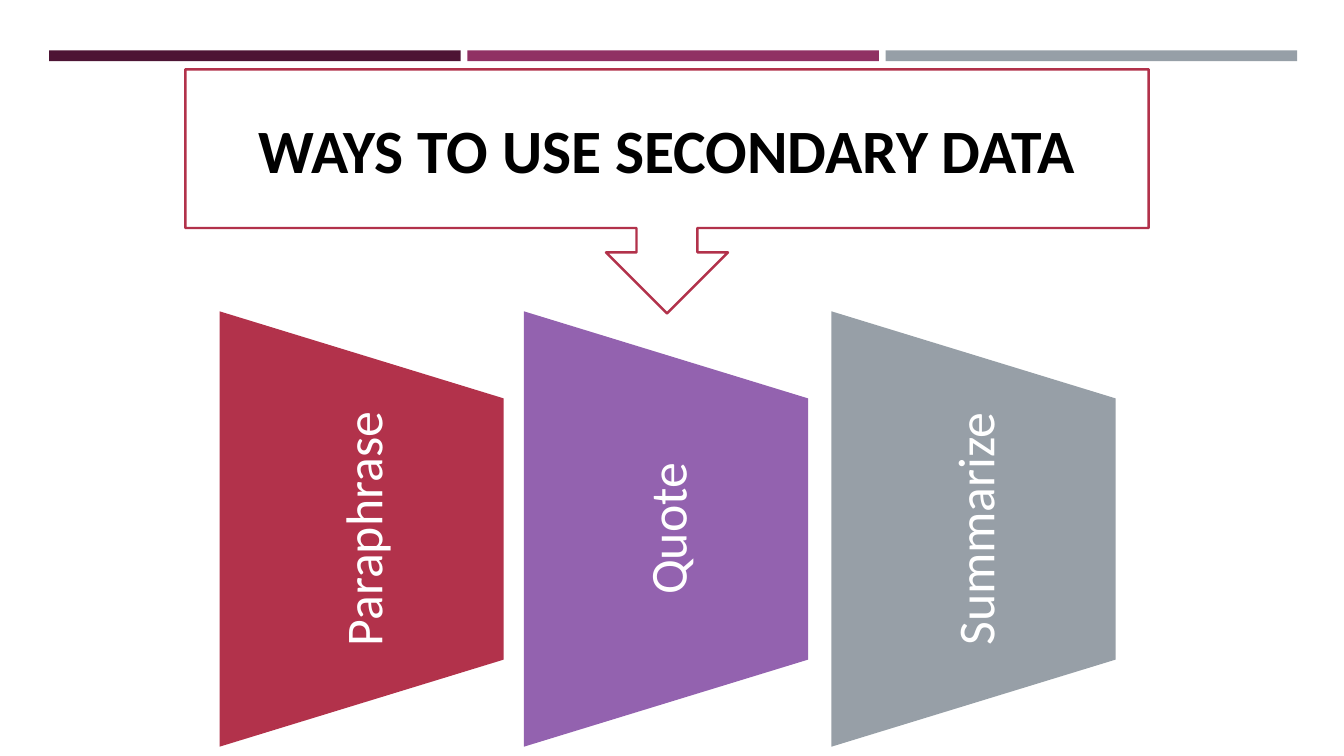
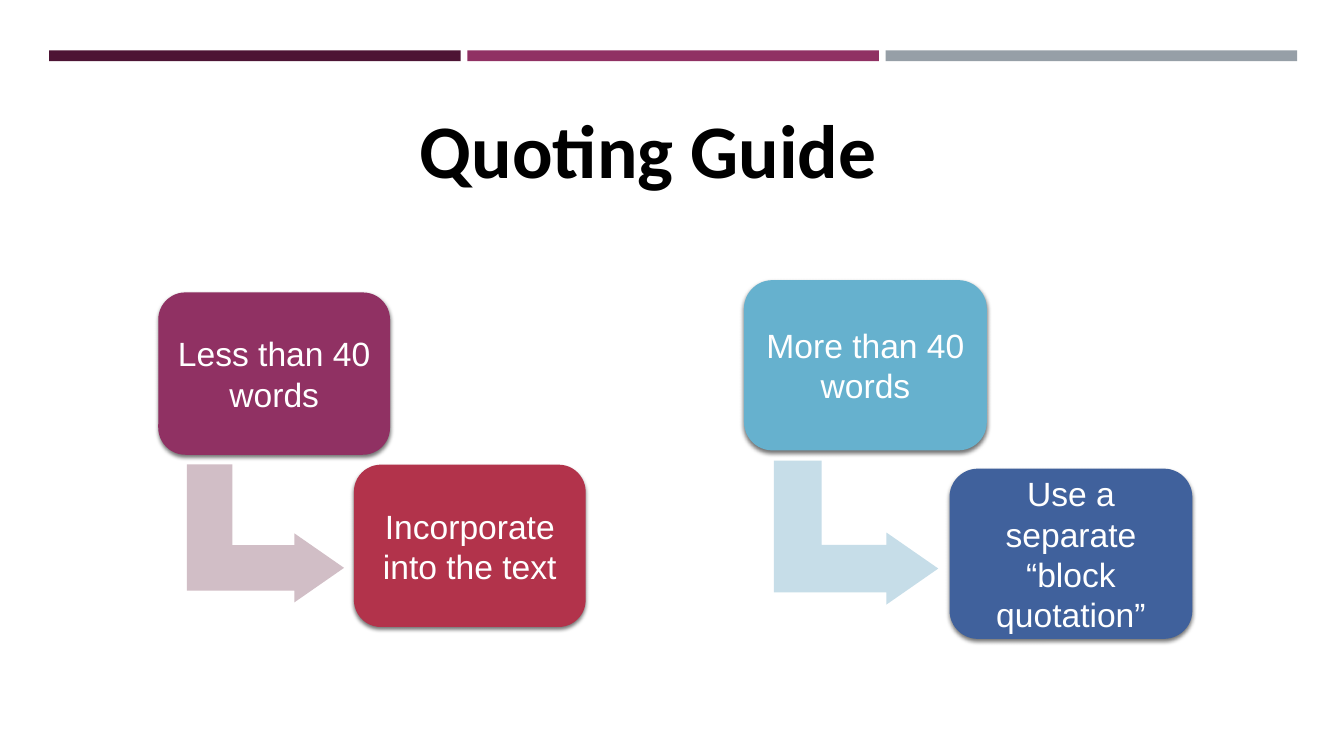
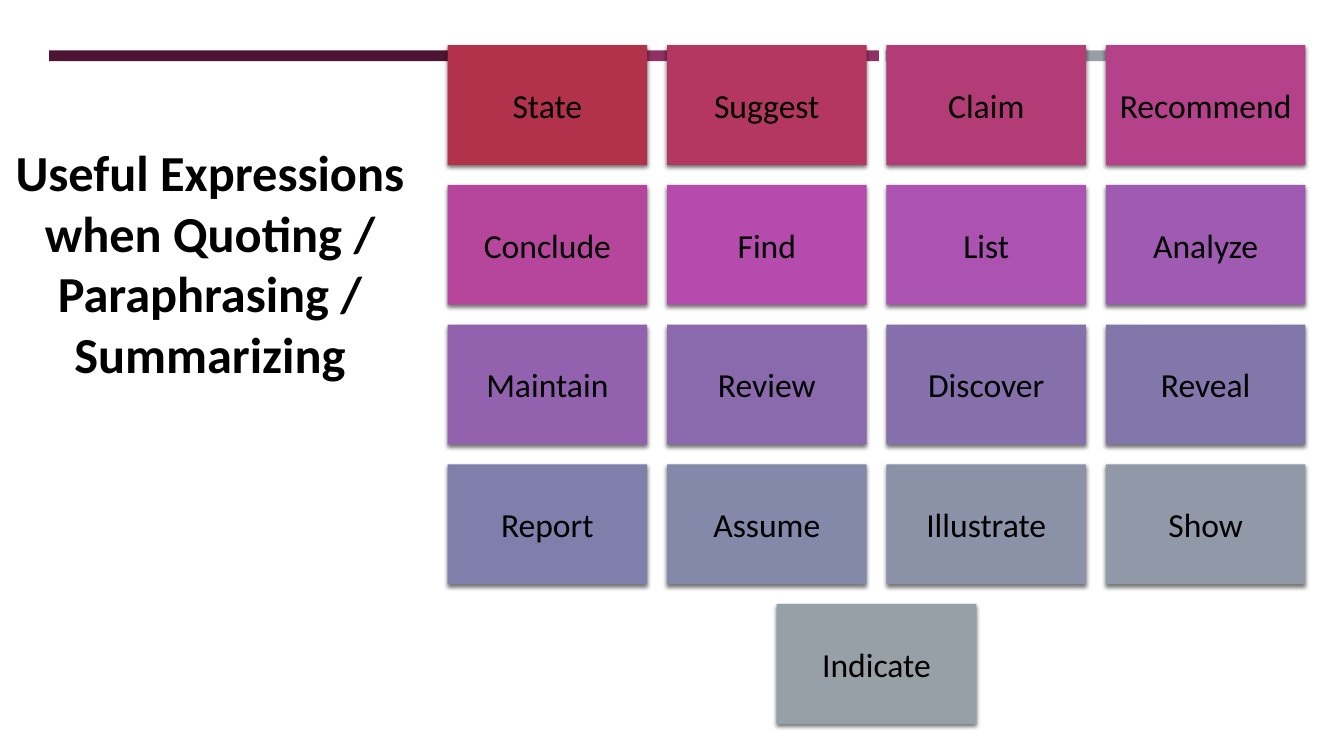
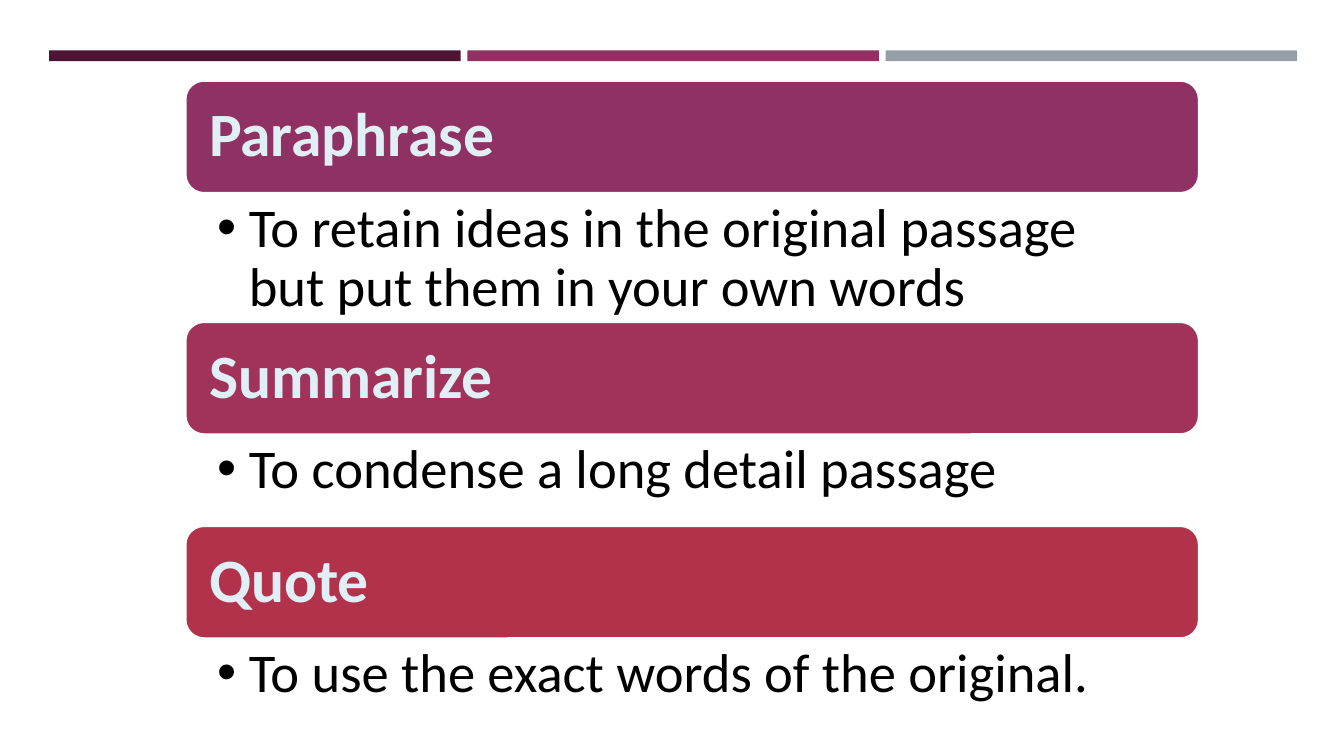
from lxml import etree
from pptx import Presentation
from pptx import util as u
from pptx.dml.color import RGBColor
from pptx.enum import shapes, text
from pptx.oxml import ns

Cm, Pt = u.Cm, u.Pt
SHAPE = shapes.MSO_SHAPE
CENTER, LEFT = text.PP_ALIGN.CENTER, text.PP_ALIGN.LEFT
MIDDLE, TOP = text.MSO_ANCHOR.MIDDLE, text.MSO_ANCHOR.TOP
BLACK, WHITE = "000000", "FFFFFF"
PLUM, MAGENTA, RED, GREY = "4D1434", "903163", "B2324B", "979FA7"
PURPLE, PALE_BLUE = "9362AF", "E0EFF5"


def add_box(slide, kind, place, fill, line=None, shadow=False):
    """Add a filled preset shape; place is left, top, width, height in cm."""
    shape = slide.shapes.add_shape(kind, *[Cm(length) for length in place])
    shape.shadow.inherit = False
    shape.fill.solid()
    shape.fill.fore_color.rgb = RGBColor.from_string(fill)
    if line:
        shape.line.color.rgb = RGBColor.from_string(line)
        shape.line.width = Pt(1.75)
    else:
        shape.line.fill.background()
    if shadow:
        effects = shape._element.spPr.find(ns.qn("a:effectLst"))
        outer = etree.SubElement(effects, ns.qn("a:outerShdw"), blurRad=str(Pt(3)),
                                 dist=str(Pt(2)), dir="5400000", rotWithShape="0")
        tint = etree.SubElement(outer, ns.qn("a:srgbClr"), val=BLACK)
        etree.SubElement(tint, ns.qn("a:alpha"), val="55000")
    return shape


def write(shape, words, size, color, bold=False, font="Calibri", align=CENTER,
          anchor=MIDDLE, margins=(0.25, 0.25, 0.25, 0.25), spacing=None, bullet=False):
    """Fill a shape with one paragraph; margins are left, top, right, bottom in cm."""
    frame = shape.text_frame
    frame.word_wrap = True
    frame.vertical_anchor = anchor
    (frame.margin_left, frame.margin_top,
     frame.margin_right, frame.margin_bottom) = [Cm(margin) for margin in margins]
    paragraph = frame.paragraphs[0]
    paragraph.text = words
    paragraph.alignment = align
    if spacing:
        paragraph.line_spacing = spacing
    if bullet:
        properties = paragraph._p.get_or_add_pPr()
        properties.set("marL", str(Cm(0.79)))
        properties.set("indent", str(Cm(-0.79)))
        etree.SubElement(properties, ns.qn("a:buFont"), typeface="Arial")
        etree.SubElement(properties, ns.qn("a:buChar"), char="•")
    paragraph.font.name = font
    paragraph.font.size = Pt(size)
    paragraph.font.bold = bold
    paragraph.font.color.rgb = RGBColor.from_string(color)


# Presentation: four blank slides, each with three bands at the top
presentation = Presentation()
presentation.slide_width, presentation.slide_height = Cm(33.87), Cm(19.05)
slides = []
for number in range(4):
    slide = presentation.slides.add_slide(presentation.slide_layouts[6])
    for column, color in enumerate((PLUM, MAGENTA, "969FA7")):
        add_box(slide, SHAPE.RECTANGLE, (1.24 + 10.54 * column, 1.27, 10.37, 0.27), color)
    slides.append(slide)
ways_slide, guide_slide, verbs_slide, meanings_slide = slides

# Slide 1: three ways under a callout
for left, color, way in ((3.63, RED, "Paraphrase"), (11.3, PURPLE, "Quote"),
                         (19.05, GREY, "Summarize")):
    panel = add_box(ways_slide, SHAPE.FLOWCHART_MANUAL_OPERATION,
                    (left, 9.75, 10.97, 7.16), color)
    panel.rotation = 270
    write(panel, way, 37, WHITE, margins=(0, 0, 0, 0))
callout = add_box(ways_slide, SHAPE.DOWN_ARROW_CALLOUT, (4.67, 1.75, 24.28, 6.15), WHITE, RED)
write(callout, "WAYS TO USE SECONDARY DATA", 44, BLACK, bold=True)

# Slide 2: title, then two steps for each length of quotation
title = guide_slide.shapes.add_textbox(Cm(9.42), Cm(2.46), Cm(13.84), Cm(2.57))
write(title, "Quoting Guide", 54, BLACK, bold=True, anchor=TOP,
      margins=(0.25, 0.13, 0.25, 0.13))
guides = (
    ((4.95, 11.46, 3.48, 3.96), "D1BEC6", (5.84, 4.09),
     ((3.99, 7.37, MAGENTA, "Less than 40 words"),
      (8.92, 11.71, "B2334B", "Incorporate into the text"))),
    ((19.76, 11.35, 3.63, 4.14), "C6DDE8", (6.12, 4.29),
     ((18.75, 7.06, "66B1CE", "More than 40 words"),
      (23.93, 11.81, "40619C", "Use a separate “block quotation”"))),
)
for arrow_place, arrow_color, card_size, cards in guides:
    arrow = add_box(guide_slide, SHAPE.BENT_UP_ARROW, arrow_place, arrow_color)
    arrow.rotation = 90
    for index, ratio in enumerate((0.33, 0.25, 0.36)):
        arrow.adjustments[index] = ratio
    for left, top, color, words in cards:
        card = add_box(guide_slide, SHAPE.ROUNDED_RECTANGLE, (left, top, *card_size),
                       color, shadow=True)
        write(card, words, 24, WHITE, font="Arial")

# Slide 3: grid of verbs, each row centred
verb_rows = (
    (("State", RED), ("Suggest", "B33761"), ("Claim", "B43C76"), ("Recommend", "B4418A")),
    (("Conclude", "B5469C"), ("Find", "B54CAD"), ("List", "AC53B2"), ("Analyze", "9E5BB1")),
    (("Maintain", PURPLE), ("Review", "8B69AD"), ("Discover", "8570AC"), ("Reveal", "8177AB")),
    (("Report", "807EAA"), ("Assume", "8488A9"), ("Illustrate", "8B92A8"), ("Show", "9199A8")),
    (("Indicate", GREY),),
)
tile_width, tile_height, gap = 5.07, 3.04, 0.5
tile_width, tile_height = 5.03, 3.02
for row, verbs in enumerate(verb_rows):
    row_left = 11.28 + (4 - len(verbs)) * (tile_width + gap) / 2
    for column, (verb, color) in enumerate(verbs):
        place = (row_left + column * (tile_width + gap), 1.14 + row * (tile_height + gap),
                 tile_width, tile_height)
        tile = add_box(verbs_slide, SHAPE.RECTANGLE, place, color, shadow=True)
        write(tile, verb, 24, BLACK)
title = verbs_slide.shapes.add_textbox(Cm(0), Cm(3.43), Cm(10.59), Cm(7.95))
write(title, "Useful Expressions when Quoting / Paraphrasing / Summarizing", 36, BLACK,
      bold=True, anchor=TOP, margins=(0.25, 0.13, 0.25, 0.13))

# Slide 4: headings and their meanings, stacked without gaps
top, heading_height = 2.03, 2.84
meanings = (
    ("Paraphrase", MAGENTA, 3.24,
     "To retain ideas in the original passage but put them in your own words"),
    ("Summarize", "A1325A", 2.3, "To condense a long detail passage"),
    ("Quote", RED, 2.3, "To use the exact words of the original."),
)
for term, color, meaning_height, meaning in meanings:
    heading = add_box(meanings_slide, SHAPE.ROUNDED_RECTANGLE,
                      (4.67, top, 25.55, heading_height), color, WHITE)
    write(heading, term, 44, PALE_BLUE, bold=True, align=LEFT, spacing=0.9,
          margins=(0.46, 0.46, 0.46, 0.46))
    top += heading_height
    body = meanings_slide.shapes.add_textbox(Cm(4.67), Cm(top), Cm(25.55), Cm(meaning_height))
    write(body, meaning, 39, BLACK, align=LEFT, anchor=TOP, spacing=0.9,
          margins=(0.81, 0.18, 0.99, 0.18), bullet=True)
    top += meaning_height

presentation.save("out.pptx")
